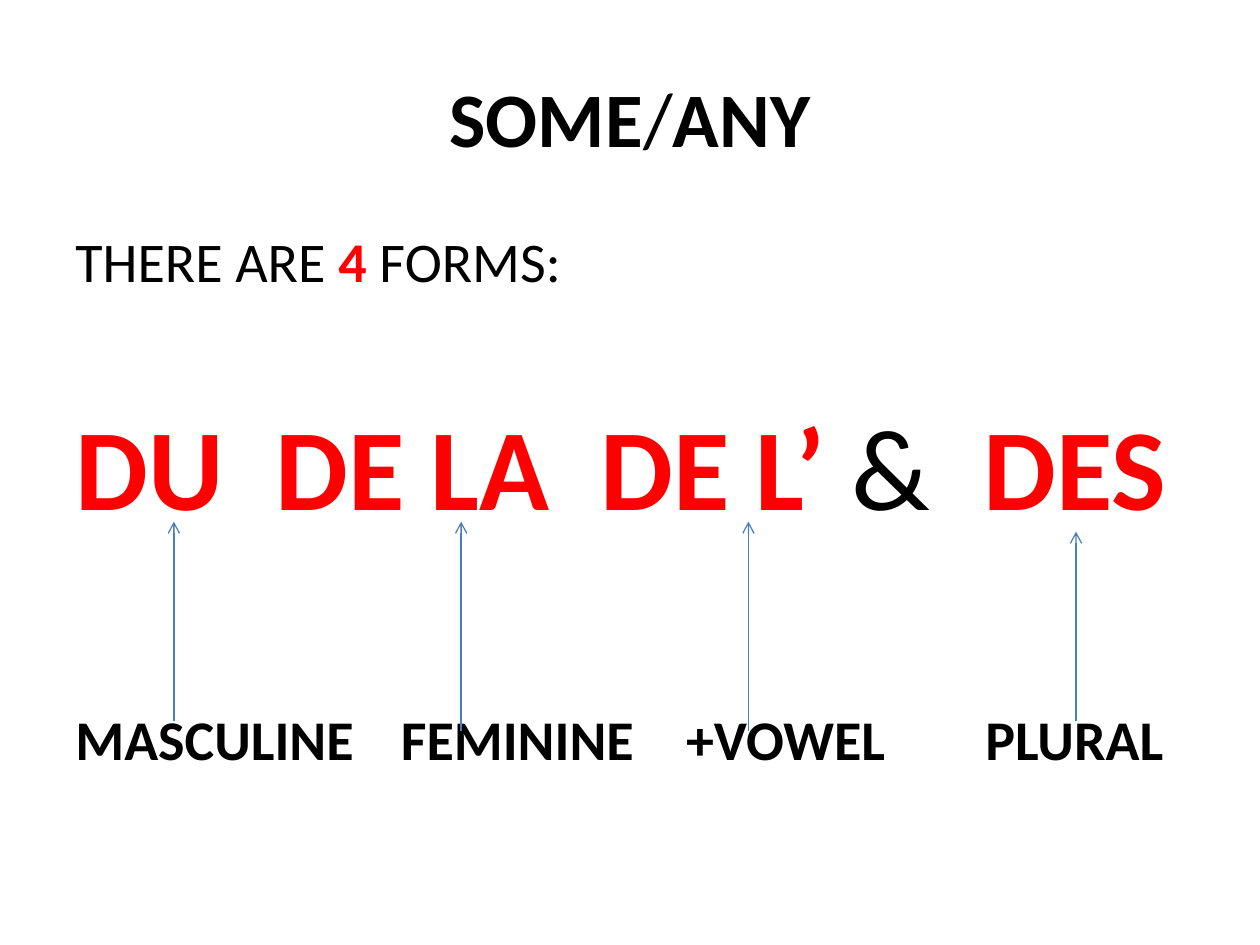
from lxml import etree
from pptx import Presentation
from pptx.dml.color import RGBColor
from pptx.enum.shapes import MSO_CONNECTOR
from pptx.enum.text import MSO_ANCHOR, PP_ALIGN
from pptx.oxml.ns import qn
from pptx.util import Pt

STRAIGHT = MSO_CONNECTOR.STRAIGHT
MIDDLE, TOP = MSO_ANCHOR.MIDDLE, MSO_ANCHOR.TOP
CENTER, LEFT = PP_ALIGN.CENTER, PP_ALIGN.LEFT

COLORS = {"black": "000000", "red": "FF0000", "blue": "4B7EBC"}
FONT = "Calibri"

# Runs are (text, colour, bold)
TITLE = [("SOME", "black", True), ("/", "black", False), ("ANY", "black", True)]
INTRO = [("THERE ARE ", "black", False), ("4", "red", True), (" FORMS:", "black", False)]
FORMS = [("DU\tDE LA\tDE L’ ", "red", True), ("&", "black", False), ("\tDES", "red", True)]
LABELS = [("\t".join(["MASCULINE", "FEMININE", "+VOWEL", "PLURAL"]), "black", True)]

# Each body line: runs, size, space before, tab stops
BODY = [
    (INTRO, 32, 0, []),
    (FORMS, 66, 58, [114.5, 300, 519]),
    (LABELS, 32, 97.5, [186, 349, 520]),
]

# Each arrow: x, bottom, top
ARROWS = [
    (99.36, 411.84, 298.08),
    (263.52, 417.6, 298.08),
    (427.68, 417.6, 298.08),
    (614.88, 411.84, 303.84),
]


def color(name):
    return RGBColor.from_string(COLORS[name])


def write_paragraph(paragraph, runs, size, align=LEFT, space_before=0, tabs=()):
    paragraph.alignment = align
    paragraph.space_before = Pt(space_before)
    if tabs:
        tab_list = etree.SubElement(paragraph._p.get_or_add_pPr(), qn("a:tabLst"))
        for position in tabs:
            etree.SubElement(tab_list, qn("a:tab"), pos=str(Pt(position)), algn="l")
    for text, color_name, bold in runs:
        run = paragraph.add_run()
        run.text = text
        run.font.name = FONT
        run.font.size = Pt(size)
        run.font.bold = bold
        run.font.color.rgb = color(color_name)


def add_arrow(slide, x, bottom, top):
    connector = slide.shapes.add_connector(STRAIGHT, Pt(x), Pt(bottom), Pt(x), Pt(top))
    connector.line.color.rgb = color("blue")
    connector.line.width = Pt(0.75)
    etree.SubElement(connector.line._get_or_add_ln(), qn("a:tailEnd"), type="arrow")
    etree.SubElement(connector._element.spPr, qn("a:effectLst"))


def main():
    presentation = Presentation()
    presentation.slide_width, presentation.slide_height = Pt(720), Pt(540)
    slide = presentation.slides.add_slide(presentation.slide_layouts[5])

    title = slide.shapes.title
    title.left, title.top, title.width, title.height = Pt(36), Pt(21.6), Pt(648), Pt(90)
    title.text_frame.vertical_anchor = MIDDLE
    write_paragraph(title.text_frame.paragraphs[0], TITLE, 44, align=CENTER)

    body = slide.shapes.add_textbox(Pt(36), Pt(126), Pt(648), Pt(356.4)).text_frame
    body.word_wrap = True
    body.vertical_anchor = TOP
    for index, (runs, size, space_before, tabs) in enumerate(BODY):
        paragraph = body.add_paragraph() if index else body.paragraphs[0]
        write_paragraph(paragraph, runs, size, space_before=space_before, tabs=tabs)

    for arrow in ARROWS:
        add_arrow(slide, *arrow)

    presentation.save("out.pptx")


if __name__ == "__main__":
    main()
